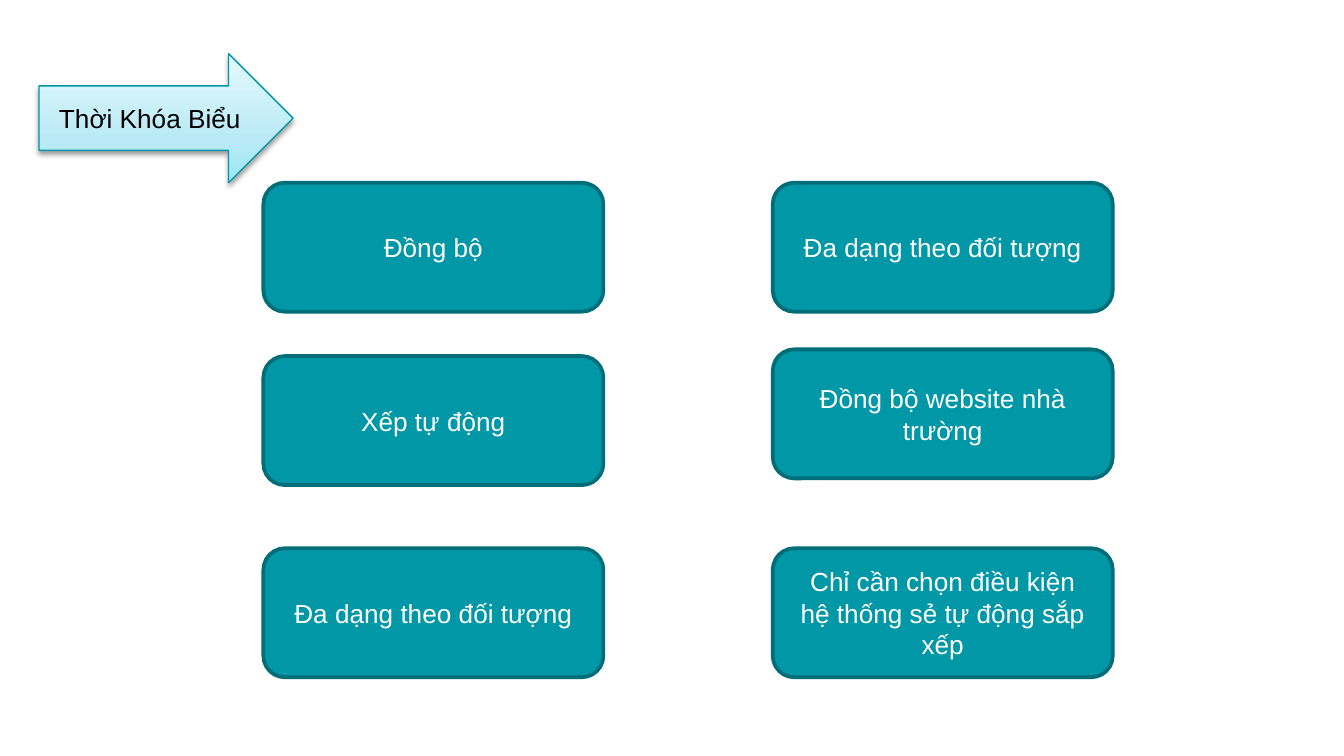
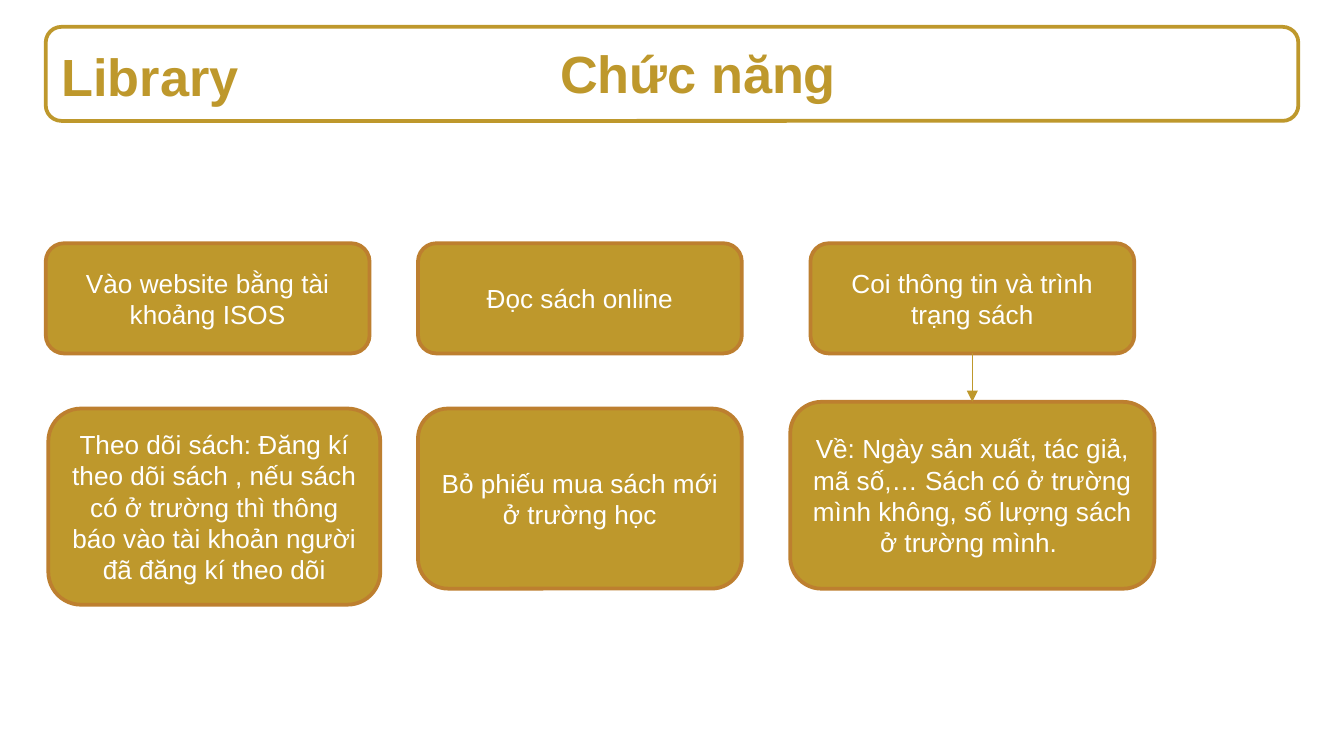
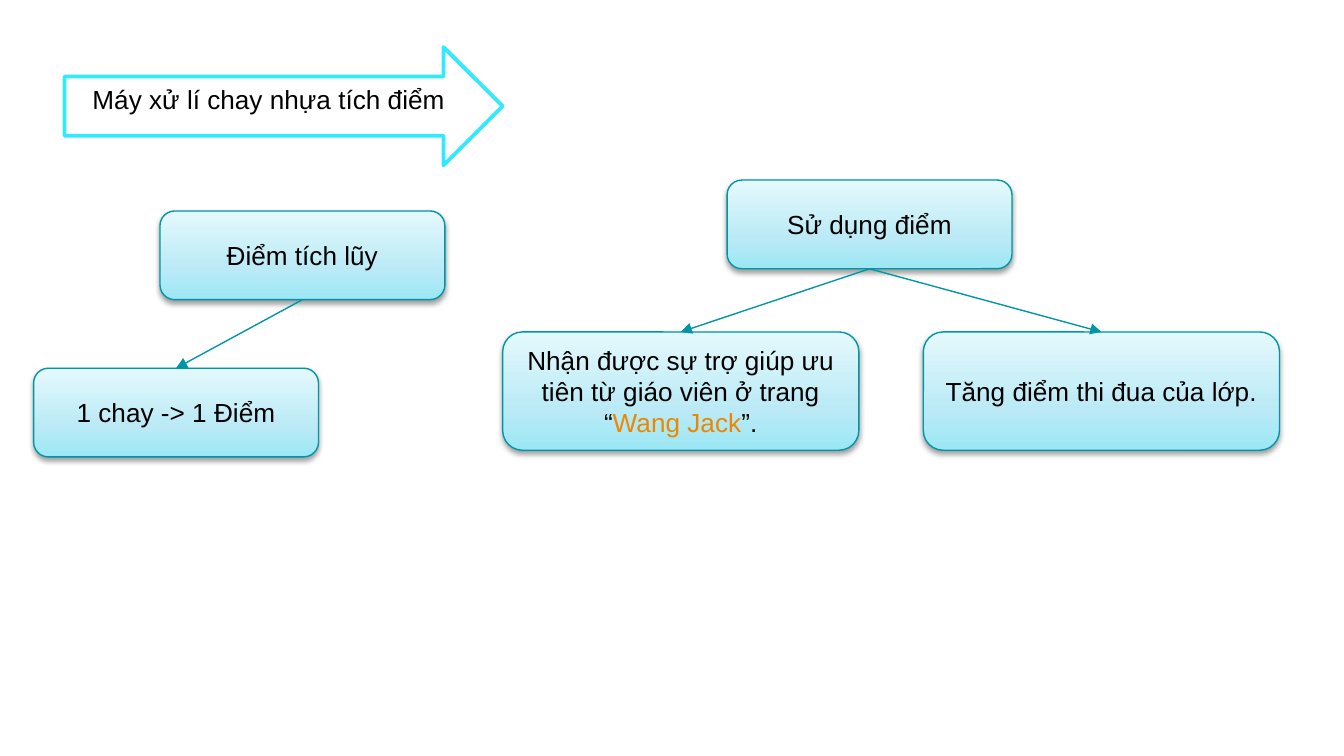
from copy import deepcopy

from lxml import etree
from pptx import Presentation
from pptx import util as u
from pptx.dml.color import RGBColor
from pptx.enum import shapes, text
from pptx.oxml.ns import qn

SLIDE_WIDTH = 10
SLIDE_HEIGHT = SLIDE_WIDTH * 9 / 16
FONT = "Arial"
COLORS = {
    "black": "000000",
    "white": "FFFFFF",
    "teal": "0097A7",
    "teal_line": "0096A7",
    "teal_dark": "006E79",
    "cyan": "31EAFE",
    "gold": "BE982C",
    "gold_line": "BD7F2F",
    "orange": "EF8600",
}
GRADIENT = [(0, "9CE7F5"), (0.35, "BBEAF6"), (1, "E4F9FC")]

# Box styles: fill, line, line width, text colour
STYLES = {
    "teal": ("teal", "teal_dark", 2, "white"),
    "gold": ("gold", "gold_line", 2, "white"),
    "glossy": ("gradient", "teal_line", 0.75, "black"),
    "cyan_outline": (None, "cyan", 2, "black"),
    "gold_outline": (None, "gold", 2, "gold"),
}
ROUNDED = shapes.MSO_SHAPE.ROUNDED_RECTANGLE
ARROW = shapes.MSO_SHAPE.RIGHT_ARROW


def rgb(name):
    return RGBColor.from_string(COLORS[name])


def inches(*lengths):
    return [u.Inches(length) for length in lengths]


def add_run(paragraph, words, color, size=14, bold=False):
    run = paragraph.add_run()
    run.text = words
    run.font.name = FONT
    run.font.size = u.Pt(size)
    run.font.bold = bold
    run.font.color.rgb = rgb(color)


def fill_gradient(shape):
    """Three-stop vertical gradient, light at the top."""
    shape.fill.gradient()
    shape.fill.gradient_angle = 90
    stop_list = shape._element.spPr.find(".//" + qn("a:gsLst"))
    stop_list.insert(1, deepcopy(stop_list[0]))
    for stop, (position, color) in zip(shape.fill.gradient_stops, GRADIENT):
        stop.position = position
        stop.color.rgb = RGBColor.from_string(color)


def add_soft_shadow(shape):
    effects = shape._element.spPr.find(qn("a:effectLst"))
    shadow = etree.SubElement(effects, qn("a:outerShdw"), blurRad=str(u.Pt(3.1)),
                              dist=str(u.Pt(1.6)), dir="5400000", rotWithShape="0")
    color = etree.SubElement(shadow, qn("a:srgbClr"), val=COLORS["black"])
    etree.SubElement(color, qn("a:alpha"), val="38000")


def add_box(slide, box, style, *runs, kind=ROUNDED, anchor=text.MSO_ANCHOR.MIDDLE):
    """Styled shape; each run is a string or a (string, colour) pair."""
    fill, line, width, text_color = STYLES[style]
    shape = slide.shapes.add_shape(kind, *inches(*box))
    shape.shadow.inherit = False
    if fill == "gradient":
        fill_gradient(shape)
        add_soft_shadow(shape)
    elif fill:
        shape.fill.solid()
        shape.fill.fore_color.rgb = rgb(fill)
    else:
        shape.fill.background()
    shape.line.color.rgb = rgb(line)
    shape.line.width = u.Pt(width)
    frame = shape.text_frame
    frame.word_wrap = True
    frame.vertical_anchor = anchor
    paragraph = frame.paragraphs[0]
    paragraph.alignment = text.PP_ALIGN.CENTER
    for run in runs:
        words, color = (run, text_color) if isinstance(run, str) else run
        add_run(paragraph, words, color)
    return shape


def add_heading(slide, box, words):
    frame = slide.shapes.add_textbox(*inches(*box)).text_frame
    frame.word_wrap = True
    add_run(frame.paragraphs[0], words, "gold", size=28, bold=True)


def add_arrow(slide, parent, child, color):
    """Arrow from the parent's bottom side to the child's top side."""
    connector = slide.shapes.add_connector(shapes.MSO_CONNECTOR.STRAIGHT, 0, 0, 0, 0)
    connector.begin_connect(parent, 2)
    connector.end_connect(child, 0)
    connector.line.color.rgb = rgb(color)
    connector.line.width = u.Pt(0.75)
    etree.SubElement(connector.line._get_or_add_ln(), qn("a:tailEnd"), type="triangle")
    etree.SubElement(connector._element.spPr, qn("a:effectLst"))


def build_timetable(slide):
    add_box(slide, (0.29, 0.4, 1.89, 0.96), "glossy", "Thời Khóa Biểu", kind=ARROW)
    # Feature columns: left edge, then (top, label) for each box
    columns = [
        (1.96, [(1.36, "Đồng bộ"),
                (2.65, "Xếp tự động"),
                (4.08, "Đa dạng theo đối tượng")]),
        (5.75, [(1.36, "Đa dạng theo đối tượng"),
                (2.6, "Đồng bộ website nhà trường"),
                (4.08, "Chỉ cần chọn điều kiện hệ thống sẻ tự động sắp xếp")]),
    ]
    for left, features in columns:
        for top, label in features:
            add_box(slide, (left, top, 2.53, 0.96), "teal", label)


def build_library(slide):
    # Title band
    add_box(slide, (0.34, 0.2, 9.32, 0.7), "gold_outline")
    add_heading(slide, (0.36, 0.28, 2.24, 0.57), "Library")
    add_heading(slide, (4.07, 0.26, 2.48, 0.57), "Chức năng")

    # Upper row
    upper_row = [
        (0.34, "Vào website bằng tài khoảng ISOS"),
        (3.11, "Đọc sách online"),
        (6.03, "Coi thông tin và trình trạng sách"),
    ]
    for left, label in upper_row:
        book_info = add_box(slide, (left, 1.81, 2.41, 0.82), "gold", label)

    # Lower row
    book_details = add_box(
        slide, (5.88, 2.99, 2.71, 1.39), "gold",
        "Về: Ngày sản xuất, tác giả, mã số,… Sách có ở trường mình không, "
        "số lượng sách ở trường mình. ")
    add_box(slide, (0.36, 3.04, 2.47, 1.46), "gold",
            "Theo dõi sách: Đăng kí theo dõi sách , nếu sách có ở trường thì "
            "thông báo vào tài khoản người đã đăng kí theo dõi")
    add_box(slide, (3.11, 3.04, 2.41, 1.34), "gold", "Bỏ phiếu mua sách mới ở trường học")
    add_arrow(slide, book_info, book_details, "gold")


def build_points(slide):
    add_box(slide, (0.48, 0.35, 3.26, 0.88), "cyan_outline",
            "Máy xử lí chay nhựa tích điểm", kind=ARROW, anchor=text.MSO_ANCHOR.TOP)

    # Earning points
    earning = add_box(slide, (1.19, 1.57, 2.12, 0.66), "glossy", "Điểm tích lũy")
    rate = add_box(slide, (0.25, 2.74, 2.12, 0.66), "glossy", "1 chay -> 1 Điểm")
    add_arrow(slide, earning, rate, "teal_line")

    # Spending points
    spending = add_box(slide, (5.41, 1.34, 2.12, 0.66), "glossy", "Sử dụng điểm")
    rewards = [
        (3.74, ["Nhận được sự trợ giúp ưu tiên từ giáo viên ở trang “",
                ("Wang Jack", "orange"), "”."]),
        (6.87, ["Tăng điểm thi đua của lớp."]),
    ]
    for left, runs in rewards:
        reward = add_box(slide, (left, 2.47, 2.65, 0.88), "glossy", *runs)
        add_arrow(slide, spending, reward, "teal_line")


def main():
    presentation = Presentation()
    presentation.slide_width, presentation.slide_height = inches(SLIDE_WIDTH, SLIDE_HEIGHT)
    blank = presentation.slide_layouts[6]
    for build in (build_timetable, build_library, build_points):
        build(presentation.slides.add_slide(blank))
    presentation.save("out.pptx")


if __name__ == "__main__":
    main()
